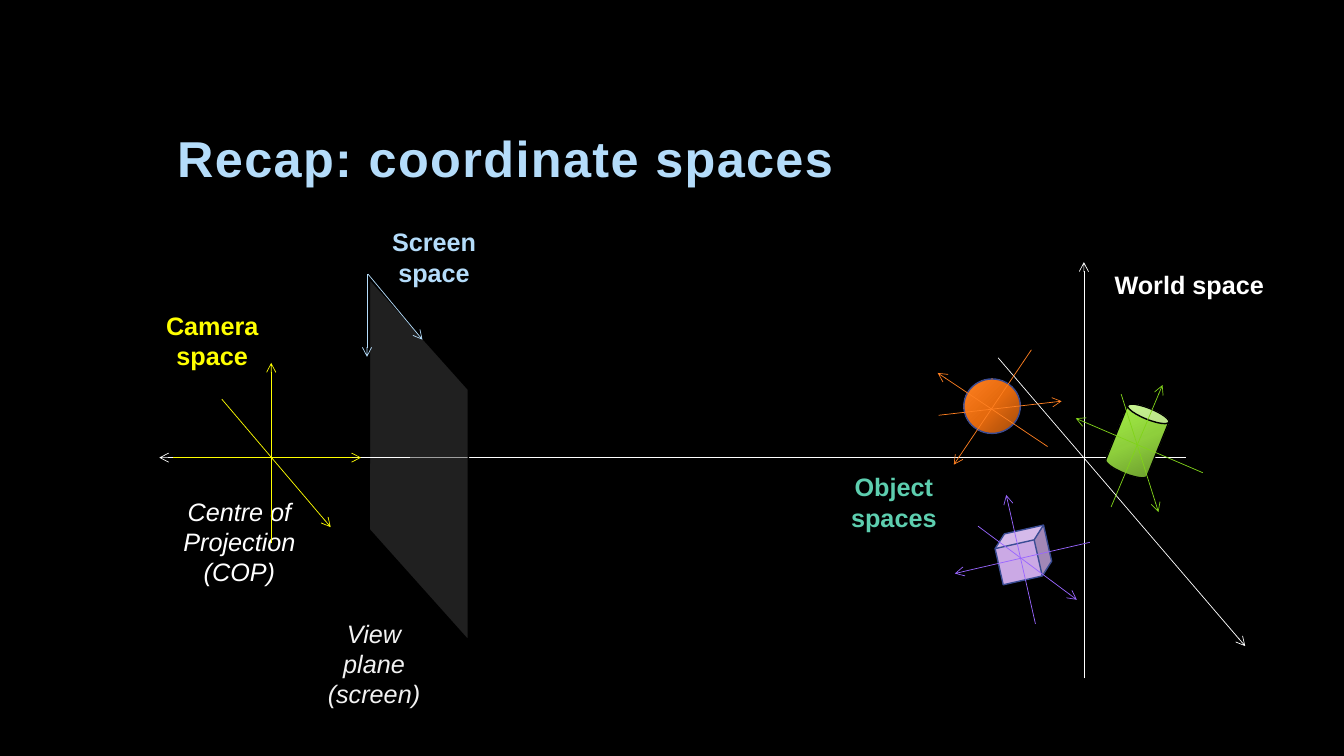
from copy import deepcopy

from lxml import etree
from pptx import Presentation
from pptx.dml.color import RGBColor
from pptx.enum.shapes import MSO_CONNECTOR, MSO_SHAPE
from pptx.enum.text import MSO_ANCHOR, PP_ALIGN
from pptx.oxml.ns import qn
from pptx.util import Inches, Pt

STRAIGHT = MSO_CONNECTOR.STRAIGHT
ELLIPSE, CUBE, CAN = MSO_SHAPE.OVAL, MSO_SHAPE.CUBE, MSO_SHAPE.CAN
PARALLELOGRAM = MSO_SHAPE.PARALLELOGRAM
LEFT, CENTER = PP_ALIGN.LEFT, PP_ALIGN.CENTER
TOP, BOTTOM = MSO_ANCHOR.TOP, MSO_ANCHOR.BOTTOM

BLACK = RGBColor(0x00, 0x00, 0x00)
WHITE = RGBColor(0xFF, 0xFF, 0xFF)
PALE_GREY = RGBColor(0xF2, 0xF2, 0xF2)
DARK_GREY = RGBColor(0x40, 0x40, 0x40)
SKY = RGBColor(0xB4, 0xDC, 0xFA)
YELLOW = RGBColor(0xFF, 0xFF, 0x00)
TEAL = RGBColor(0x5D, 0xCE, 0xAF)
NAVY = RGBColor(0x3A, 0x4C, 0x94)
LILAC = RGBColor(0xCB, 0xA9, 0xE5)
PURPLE = RGBColor(0x99, 0x66, 0xFF)
ORANGE = RGBColor(0xFF, 0x80, 0x21)
GREEN = RGBColor(0x81, 0xD3, 0x1A)
ORANGE_SHADES = (RGBColor(0xA1, 0x4A, 0x0A), RGBColor(0xE5, 0x6A, 0x0E), ORANGE)
GREEN_SHADES = (RGBColor(0x64, 0x91, 0x2A), RGBColor(0x8E, 0xCF, 0x3C),
                RGBColor(0xA8, 0xF5, 0x47))

WORLD_AXES = [
    ((11.76, 4.54), (1.58, 4.54)),
    ((10.75, 6.73), (10.75, 2.6)),
    ((9.9, 3.55), (12.35, 6.41)),
]
CUBE_AXES = [
    ((10.81, 5.38), (9.47, 5.69)),
    ((10.27, 6.19), (9.98, 4.91)),
    ((9.7, 5.22), (10.68, 5.95)),
]
BALL_AXES = [
    ((10.23, 3.47), (9.46, 4.61)),
    ((10.39, 4.43), (9.3, 3.7)),
    ((9.31, 4.12), (10.53, 3.98)),
]
CAN_AXES = [
    ((11.93, 4.69), (10.67, 4.15)),
    ((11.02, 5.03), (11.53, 3.82)),
    ((11.12, 3.91), (11.49, 5.08)),
]
CAMERA_AXES = [
    ((1.72, 4.54), (3.58, 4.54)),
    ((2.69, 5.39), (2.69, 3.6)),
    ((2.2, 3.96), (3.28, 5.23)),
]
SCREEN_AXES = [
    ((3.64, 2.72), (3.64, 3.54)),
    ((3.65, 2.72), (4.19, 3.37)),
]


def add_text(page, text, left, top, width, height, color, size=18, bold=False,
             italic=False, align=CENTER, anchor=TOP, line_spacing=1.0, tracking=0):
    box = page.shapes.add_textbox(Inches(left), Inches(top), Inches(width), Inches(height))
    frame = box.text_frame
    frame.word_wrap = True
    frame.vertical_anchor = anchor
    para = frame.paragraphs[0]
    para.text = text
    para.alignment = align
    para.line_spacing = line_spacing
    for span in para.runs:
        span.font.name = "Arial"
        span.font.size = Pt(size)
        span.font.bold = bold
        span.font.italic = italic
        span.font.color.rgb = color
        if tracking:
            span.font._element.set("spc", str(tracking * 100))


def add_line(page, start, end, color, arrow=True):
    line = page.shapes.add_connector(STRAIGHT, *map(Inches, start + end))
    line.line.color.rgb = color
    line.line.width = Pt(0.5)
    if arrow:
        tail = etree.SubElement(line.line._get_or_add_ln(), qn("a:tailEnd"))
        tail.set("type", "arrow")
    etree.SubElement(line._element.spPr, qn("a:effectLst"))


def add_axes(page, axes, color):
    for start, end in axes:
        add_line(page, start, end, color)


def add_solid(page, kind, left, top, width, height, outline, rotation=0):
    shape = page.shapes.add_shape(kind, Inches(left), Inches(top),
                                  Inches(width), Inches(height))
    shape.shadow.inherit = False
    shape.rotation = rotation
    shape.line.color.rgb = outline
    shape.line.width = Pt(1)
    return shape


def fill_plain(shape, color, opacity=100):
    shape.fill.solid()
    shape.fill.fore_color.rgb = color
    if opacity < 100:
        tone = shape._element.spPr.find(qn("a:solidFill"))[0]
        etree.SubElement(tone, qn("a:alpha")).set("val", str(opacity * 1000))


def fill_shaded(shape, shades):
    shape.fill.gradient()
    shape.fill.gradient_angle = 135
    stops = shape._element.spPr.find(".//" + qn("a:gsLst"))
    stops.append(deepcopy(stops[-1]))
    for index, (stop, shade) in enumerate(zip(shape.fill.gradient_stops, shades)):
        stop.color.rgb = shade
        stop.position = index / 2


def add_view_plane(page):
    plane = add_solid(page, PARALLELOGRAM, 2.49, 3.73, 3.33, 1.66, BLACK, rotation=48.2)
    plane.adjustments[0] = 1.118
    plane._element.spPr.find(qn("a:xfrm")).set("flipV", "1")
    fill_plain(plane, DARK_GREY, opacity=50)


def add_objects(page):
    ball = add_solid(page, ELLIPSE, 9.56, 3.76, 0.56, 0.54, NAVY)
    fill_shaded(ball, ORANGE_SHADES)
    cube = add_solid(page, CUBE, 9.89, 5.26, 0.52, 0.49, NAVY, rotation=347.3)
    fill_plain(cube, LILAC)
    can = add_solid(page, CAN, 11.06, 4.03, 0.44, 0.69, BLACK, rotation=22)
    fill_shaded(can, GREEN_SHADES)


def main():
    deck = Presentation()
    deck.slide_width, deck.slide_height = Inches(13.33), Inches(7.5)
    page = deck.slides.add_slide(deck.slide_layouts[6])
    page.background.fill.solid()
    page.background.fill.fore_color.rgb = BLACK

    add_text(page, "Recap: coordinate spaces", 1.66, 0.42, 10, 1.5, SKY, size=36,
             bold=True, align=LEFT, anchor=BOTTOM, line_spacing=0.9, tracking=1)
    add_axes(page, WORLD_AXES, WHITE)
    add_text(page, "Centre of Projection (COP)", 1.46, 4.87, 1.83, 1.01, WHITE, italic=True)
    add_objects(page)
    add_text(page, "View plane\v(screen)", 3.11, 6.08, 1.2, 1.01, PALE_GREY, italic=True)
    add_view_plane(page)
    add_line(page, (3.12, 4.54), (4.07, 4.54), WHITE, arrow=False)
    add_text(page, "World space", 10.9, 2.62, 1.79, 0.4, WHITE, bold=True)

    add_axes(page, CUBE_AXES, PURPLE)
    add_axes(page, BALL_AXES, ORANGE)
    add_axes(page, CAN_AXES, GREEN)
    add_text(page, "Object spaces", 7.97, 4.63, 1.79, 0.71, TEAL, bold=True)
    add_axes(page, CAMERA_AXES, YELLOW)
    add_text(page, "Camera space", 1.21, 3.03, 1.79, 0.71, YELLOW, bold=True)
    add_axes(page, SCREEN_AXES, SKY)
    add_text(page, "Screen space", 3.41, 2.2, 1.79, 0.71, SKY, bold=True)

    deck.save("out.pptx")


if __name__ == "__main__":
    main()
